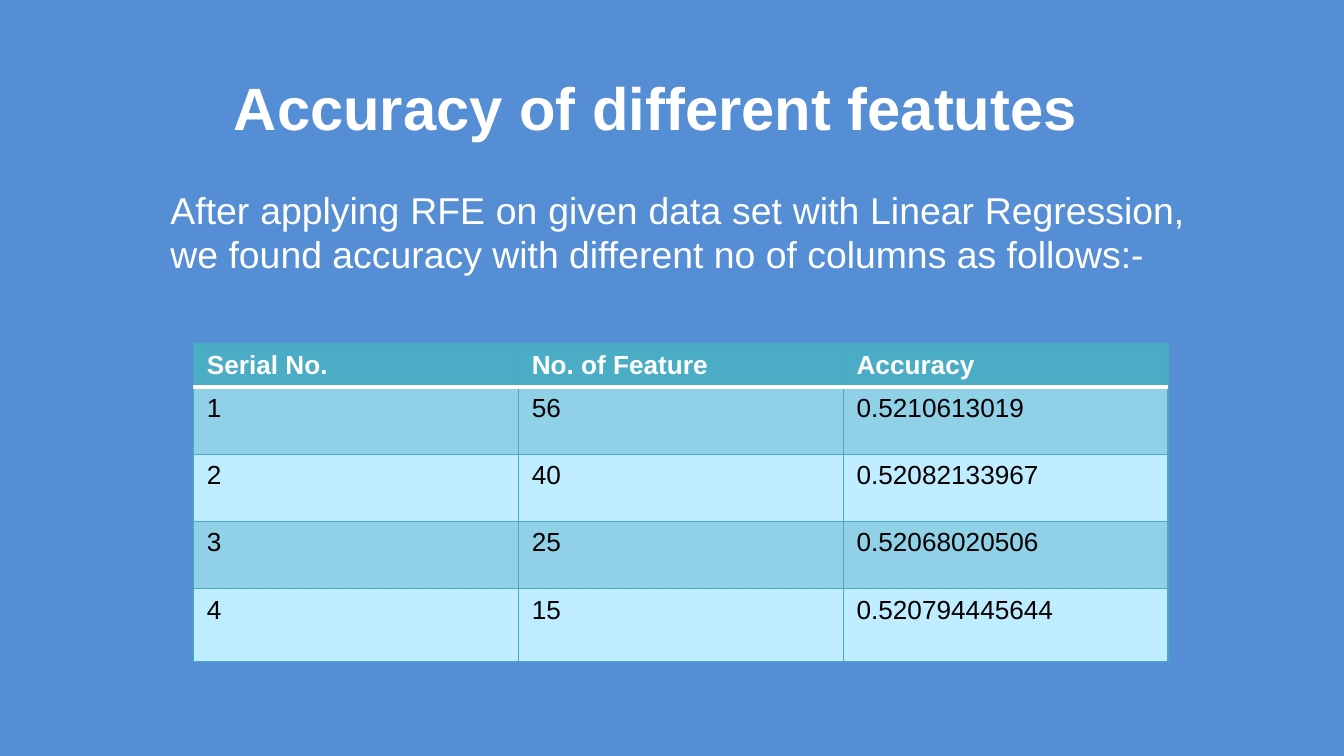
from lxml import etree
from pptx import Presentation
from pptx import util as u
from pptx.dml.color import RGBColor
from pptx.enum import text
from pptx.oxml.ns import qn

FONT = "Arial"
COLORS = {
    "background": "558ED5",
    "white": "FFFFFF",
    "black": "000000",
    "header": "4BACC6",
    "band": "91D1E8",
    "plain": "BFECFF",
    "grid": "46AAC5",
}
ROWS = [
    ("Serial No.", "No. of Feature", "Accuracy"),
    ("1", "56", "0.5210613019"),
    ("2", "40", "0.52082133967"),
    ("3", "25", "0.52068020506"),
    ("4", "15", "0.520794445644"),
]
ROW_HEIGHTS = [0.32, 0.5, 0.5, 0.5, 0.54]


def rgb(name):
    return RGBColor.from_string(COLORS[name])


def format_paragraph(p, size, color="white", bold=False):
    p.font.name = FONT
    p.font.size = u.Pt(size)
    p.font.bold = bold
    p.font.color.rgb = rgb(color)


def fill_text(sp, words, size, bold, align):
    tf = sp.text_frame
    tf.text = words
    tf.word_wrap = True
    tf.auto_size = text.MSO_AUTO_SIZE.NONE
    tf.vertical_anchor = text.MSO_ANCHOR.TOP
    p = tf.paragraphs[0]
    p.alignment = align
    format_paragraph(p, size, bold=bold)


def add_title(slide, words, left, top, width, height):
    sp = slide.shapes.title
    sp.left, sp.top, sp.width, sp.height = map(u.Inches, (left, top, width, height))
    fill_text(sp, words, 32, True, text.PP_ALIGN.LEFT)


def add_body(slide, words, left, top, width, height):
    sp = slide.shapes.add_textbox(*map(u.Inches, (left, top, width, height)))
    fill_text(sp, words, 20, False, text.PP_ALIGN.JUSTIFY)


def set_border(cell, side, color, width):
    props = cell._tc.get_or_add_tcPr()
    line = etree.SubElement(props, qn(f"a:ln{side}"), w=str(u.Pt(width)))
    fill = etree.SubElement(line, qn("a:solidFill"))
    etree.SubElement(fill, qn("a:srgbClr"), val=COLORS[color])


def format_cell(cell, row):
    # A thick white rule separates the header from the data
    rule_side = {0: "B", 1: "T"}.get(row)
    for side in "LRTB":
        if side == rule_side:
            set_border(cell, side, "white", 2)
        else:
            set_border(cell, side, "grid", 0.75)
    is_header = row == 0
    fill = "header" if is_header else "band" if row % 2 else "plain"
    cell.fill.solid()
    cell.fill.fore_color.rgb = rgb(fill)
    format_paragraph(cell.text_frame.paragraphs[0], 14,
                     "white" if is_header else "black", is_header)


def add_accuracy_table(slide, left, top, width):
    box = map(u.Inches, (left, top, width, sum(ROW_HEIGHTS)))
    table = slide.shapes.add_table(len(ROWS), len(ROWS[0]), *box).table
    for r, (values, height) in enumerate(zip(ROWS, ROW_HEIGHTS)):
        table.rows[r].height = u.Inches(height)
        for c, value in enumerate(values):
            cell = table.cell(r, c)
            cell.text = value
            format_cell(cell, r)


def main():
    prs = Presentation()
    prs.slide_width = u.Inches(10)
    prs.slide_height = prs.slide_width * 9 // 16
    slide = prs.slides.add_slide(prs.slide_layouts[5])
    slide.background.fill.solid()
    slide.background.fill.fore_color.rgb = rgb("background")

    # Accuracy by number of features
    add_accuracy_table(slide, 1.44, 2.56, 7.25)

    # Heading and introduction
    add_title(slide, "Accuracy of different featutes", 1.64, 0.48, 7.28, 0.65)
    add_body(slide,
             "After applying RFE on given data set with Linear Regression, "
             "we found accuracy with different no of columns as follows:-",
             1.17, 1.34, 7.75, 0.79)

    prs.save("out.pptx")


if __name__ == "__main__":
    main()
